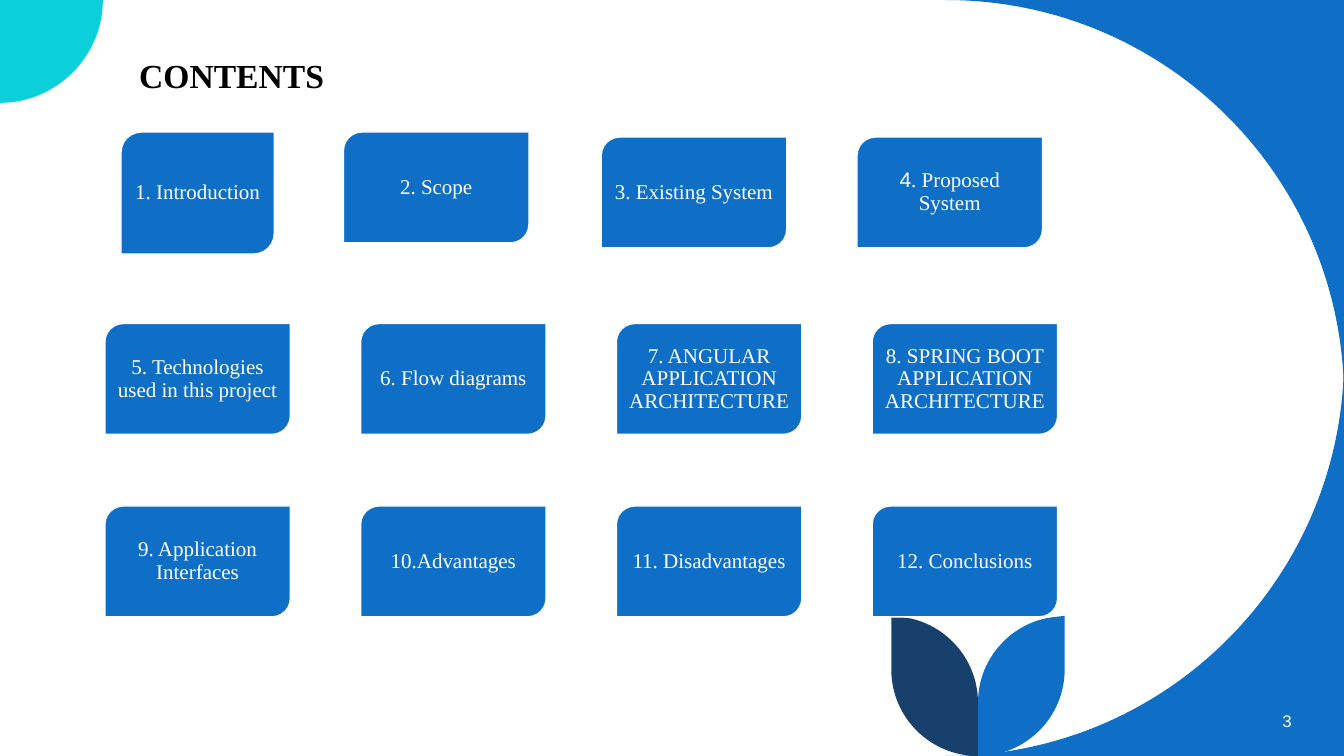
from lxml.etree import SubElement
from pptx import Presentation
from pptx.dml.color import RGBColor
from pptx.enum.shapes import MSO_SHAPE
from pptx.enum.text import MSO_ANCHOR, MSO_AUTO_SIZE, PP_ALIGN
from pptx.oxml.ns import qn
from pptx.util import Inches, Pt

SLIDE_WIDTH, SLIDE_HEIGHT = 13.33, 7.5
BLUE, NAVY, TURQUOISE, WHITE, BLACK = "0F6FC6", "17406D", "0BD0D9", "FFFFFF", "000000"
SERIF, SANS = "Times New Roman", "Arial"

GRID_LEFT, LAST_COLUMN_LEFT = 1.04, 8.65
COLUMN_STEP = (LAST_COLUMN_LEFT - GRID_LEFT) / 3
ROW_TOPS = (1.36, 3.21, 5.02)
CARD_WIDTH, CARD_HEIGHT = 1.84, 1.1
# Cards of the first row sit off the grid: left, top, width, height offsets
FIRST_ROW_OFFSETS = (
    (0.16, -0.05, -0.32, 0.11),
    (-0.17, -0.05, 0, 0),
    (-0.15, 0, 0, 0),
    (-0.15, 0, 0, 0),
)
TOPICS = (
    ("1. Introduction", "2. Scope", "3. Existing System", "4. Proposed System"),
    ("5. Technologies used in this project", "6. Flow diagrams",
     "7. ANGULAR APPLICATION ARCHITECTURE",
     "8. SPRING BOOT APPLICATION ARCHITECTURE"),
    ("9. Application Interfaces", "10.Advantages", "11. Disadvantages",
     "12. Conclusions"),
)

# Outlines: two numbers are a corner, six are a Bézier curve
CORNER_SWEEP = ((13.33, 0), (9.38, 0), (11.57, 0, 13.33, 1.77, 13.33, 3.95))
QUARTER_DISC = ((0, 0), (1.02, 0), (1.02, 0.56, 0.56, 1.02, 0, 1.02))
LEAF = ((10.56, 6.11), (10.56, 6.64), (10.56, 7.12, 10.17, 7.5, 9.7, 7.5),
        (9.7, 6.97), (9.7, 6.53, 10.04, 6.16, 10.47, 6.12))
LEAF_AXIS = 9.7


def color(hex_value):
    return RGBColor.from_string(hex_value)


def apply(target, formats):
    for attribute, value in formats.items():
        setattr(target, attribute, value)


def mirror(outline, axis, coordinate):
    """Reflect an outline about x = axis (coordinate 0) or y = axis (coordinate 1)."""
    return [tuple(2 * axis - value if index % 2 == coordinate else value
                  for index, value in enumerate(step)) for step in outline]


def fill_plain(shape, fill):
    shape.shadow.inherit = False
    shape.fill.solid()
    shape.fill.fore_color.rgb = color(fill)


def bend_segments(ornament, steps):
    """Turn the straight segments of six-number steps into Bézier curves."""
    segments = list(ornament.element.iter(qn("a:lnTo")))
    for segment, step in zip(segments, steps):
        if len(step) == 2:
            continue
        segment.tag = qn("a:cubicBezTo")
        segment.remove(segment[0])
        for x, y in zip(step[::2], step[1::2]):
            SubElement(segment, qn("a:pt"), x=str(Inches(x) - ornament.left),
                       y=str(Inches(y) - ornament.top))


def add_ornament(slide, outline, fill):
    start, *steps = outline
    builder = slide.shapes.build_freeform(*map(Inches, start))
    builder.add_line_segments([tuple(map(Inches, step[-2:])) for step in steps])
    ornament = builder.convert_to_shape()
    bend_segments(ornament, steps)
    fill_plain(ornament, fill)
    ornament.line.fill.background()


def add_run(paragraph, text, font_color, **font_formats):
    run = paragraph.add_run()
    run.text = text
    apply(run.font, font_formats)
    run.font.color.rgb = color(font_color)


def add_title(slide, text):
    title = slide.shapes.title
    apply(title, dict(left=Inches(1.28), top=Inches(0.42),
                      width=Inches(7.71), height=Inches(0.58)))
    apply(title.text_frame, dict(vertical_anchor=MSO_ANCHOR.BOTTOM, word_wrap=True,
                                 auto_size=MSO_AUTO_SIZE.NONE))
    paragraph = title.text_frame.paragraphs[0]
    apply(paragraph, dict(alignment=PP_ALIGN.LEFT, line_spacing=0.9))
    add_run(paragraph, text, BLACK, name=SERIF, size=Pt(24), bold=True)


def add_topic_card(slide, topic, box):
    card = slide.shapes.add_shape(MSO_SHAPE.ROUND_2_DIAG_RECTANGLE, *map(Inches, box))
    fill_plain(card, BLUE)
    card.line.color.rgb = color(WHITE)
    card.line.width = Pt(1)
    inset = Inches(0.06)
    apply(card.text_frame, dict(margin_left=inset, margin_right=inset, margin_top=inset,
                                margin_bottom=inset, word_wrap=True,
                                vertical_anchor=MSO_ANCHOR.MIDDLE))
    paragraph = card.text_frame.paragraphs[0]
    apply(paragraph, dict(alignment=PP_ALIGN.CENTER, line_spacing=0.9))
    if topic.startswith("4"):
        add_run(paragraph, topic[0], WHITE, name=SANS, size=Pt(15))
        topic = topic[1:]
    add_run(paragraph, topic, WHITE, name=SERIF, size=Pt(15))


def add_topic_grid(slide):
    for row, (top, topics) in enumerate(zip(ROW_TOPS, TOPICS)):
        for column, topic in enumerate(topics):
            cell = (GRID_LEFT + column * COLUMN_STEP, top, CARD_WIDTH, CARD_HEIGHT)
            offsets = FIRST_ROW_OFFSETS[column] if row == 0 else (0, 0, 0, 0)
            add_topic_card(slide, topic, map(sum, zip(cell, offsets)))


def add_page_number(slide, number):
    box = slide.shapes.add_textbox(*map(Inches, (11.1, 6.95, 1.81, 0.4)))
    apply(box.text_frame, dict(word_wrap=True, vertical_anchor=MSO_ANCHOR.MIDDLE))
    paragraph = box.text_frame.paragraphs[0]
    paragraph.alignment = PP_ALIGN.RIGHT
    add_run(paragraph, number, WHITE, name=SANS, size=Pt(12))


def main():
    presentation = Presentation()
    apply(presentation, dict(slide_width=Inches(SLIDE_WIDTH),
                             slide_height=Inches(SLIDE_HEIGHT)))
    slide = presentation.slides.add_slide(presentation.slide_layouts[5])
    for outline, fill in (
        (CORNER_SWEEP, BLUE),
        (mirror(CORNER_SWEEP, SLIDE_HEIGHT / 2, 1), BLUE),
        (QUARTER_DISC, TURQUOISE),
        (LEAF, BLUE),
        (mirror(LEAF, LEAF_AXIS, 0), NAVY),
    ):
        add_ornament(slide, outline, fill)
    add_title(slide, "CONTENTS")
    add_topic_grid(slide)
    add_page_number(slide, "3")
    presentation.save("out.pptx")


if __name__ == "__main__":
    main()
